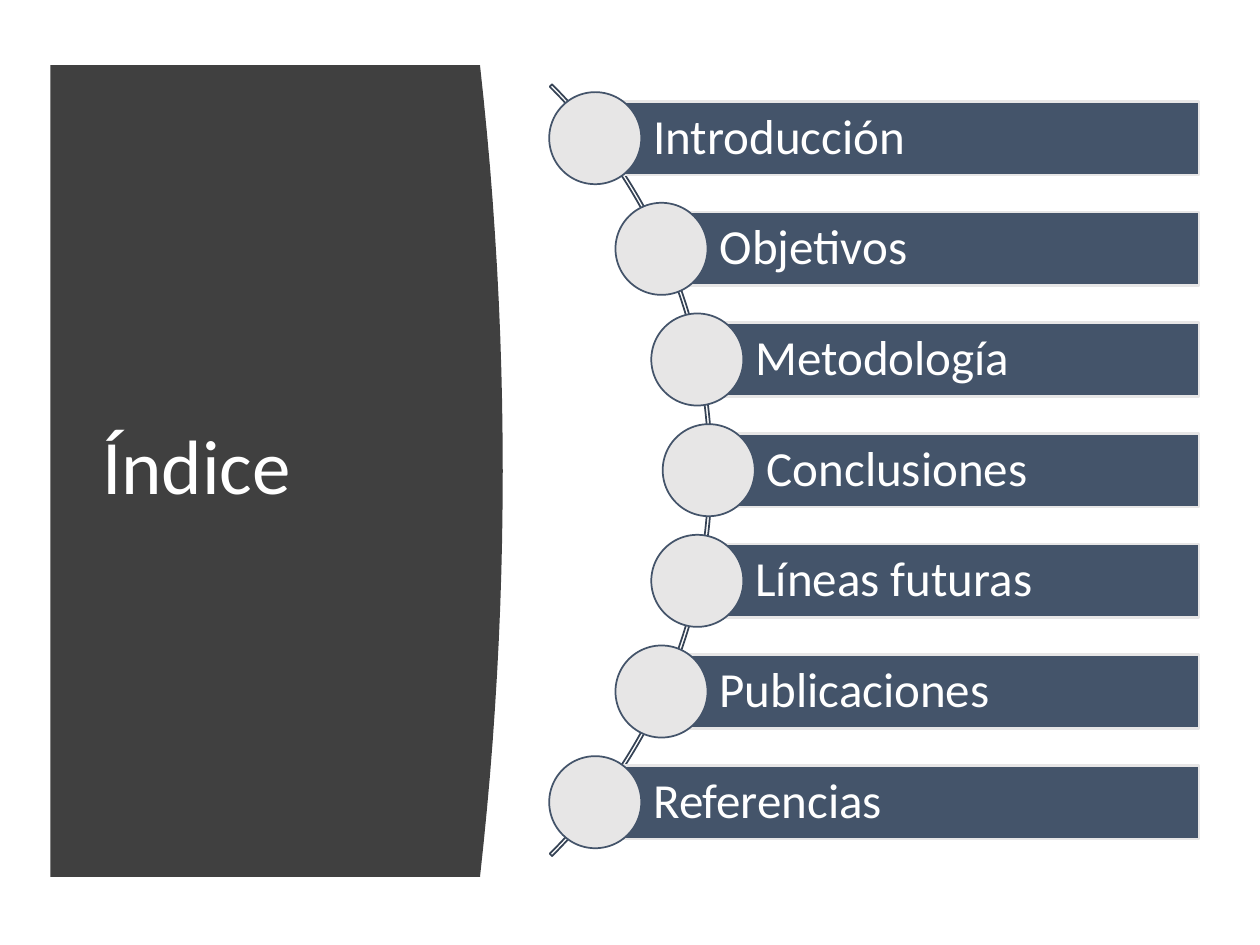
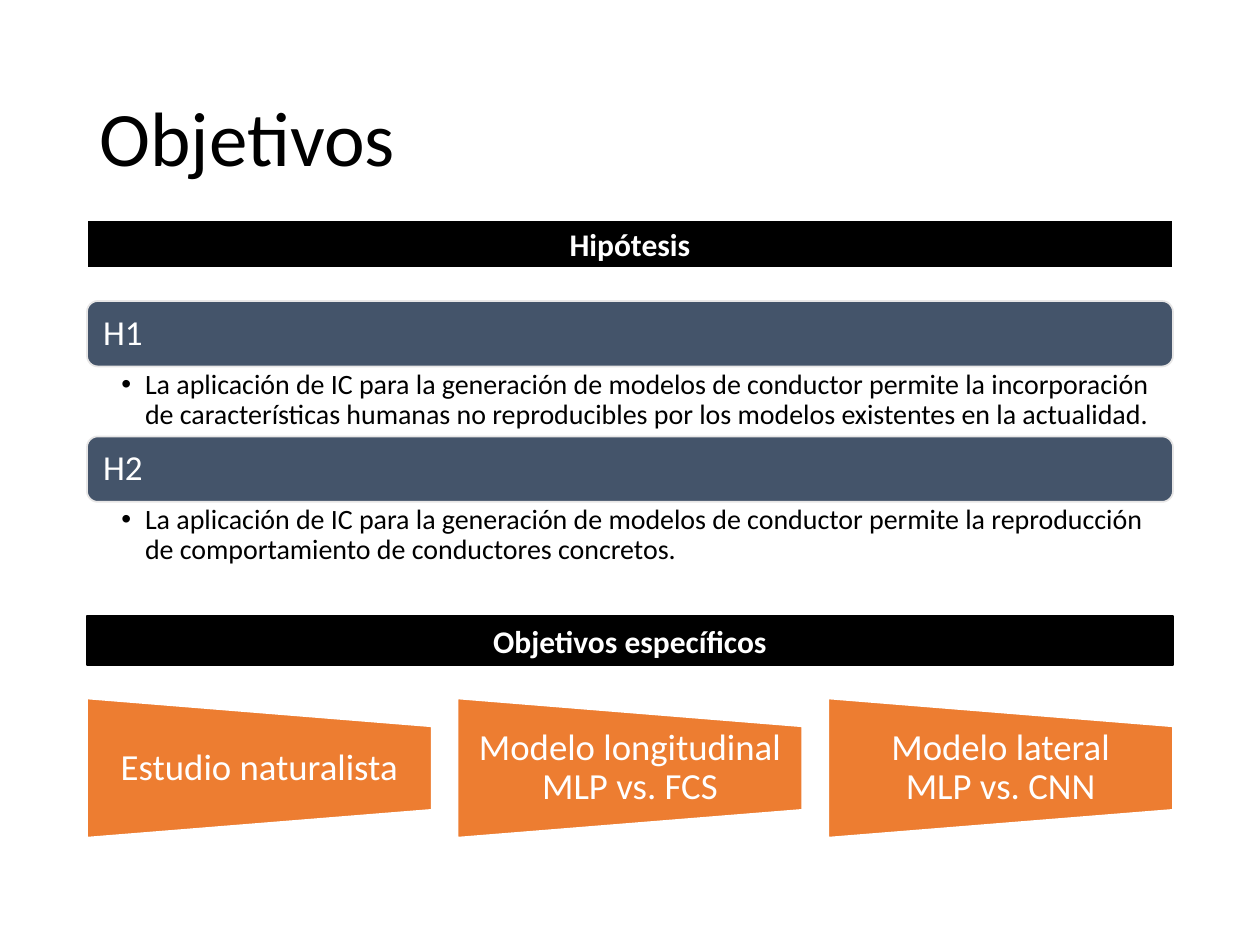
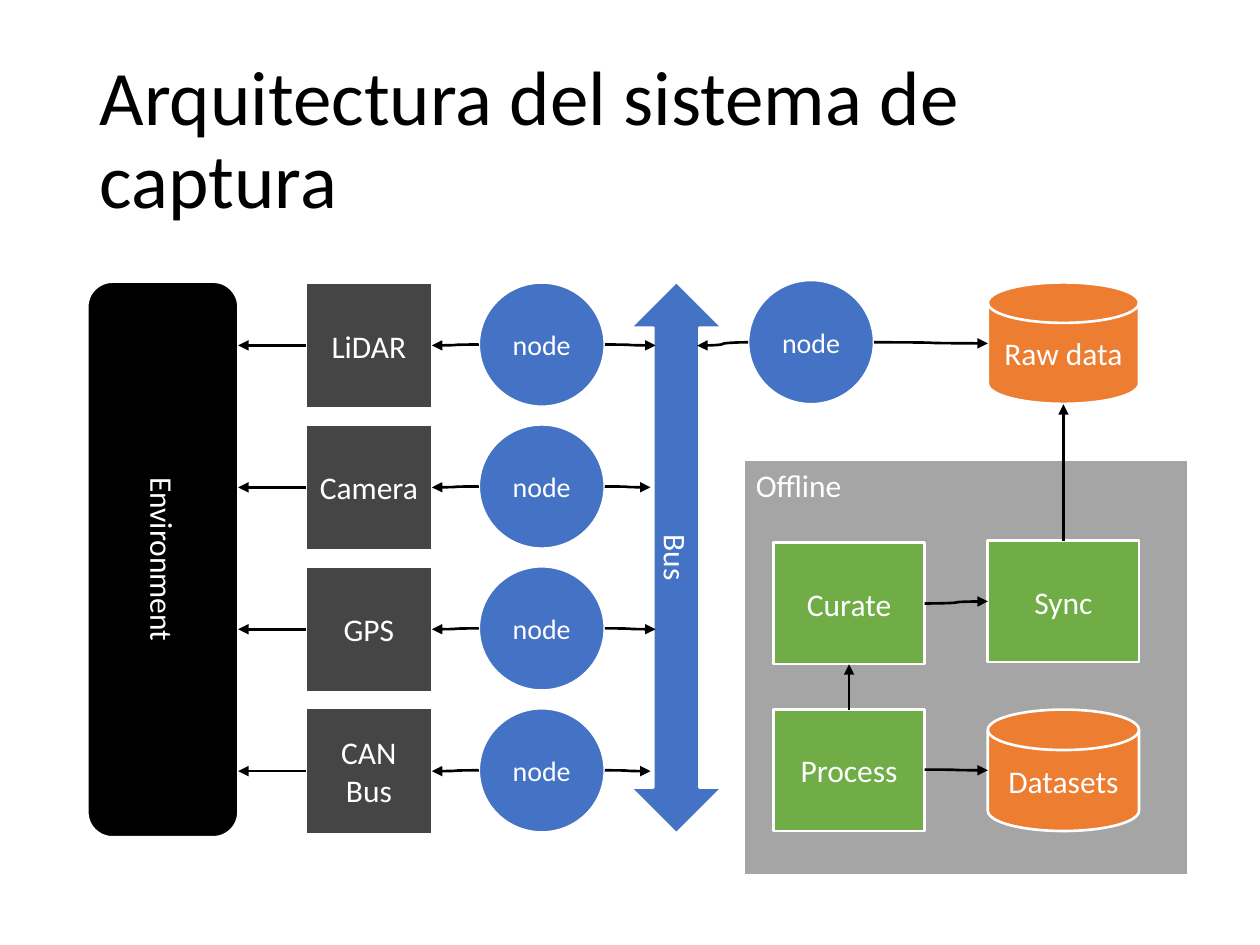
"""Build three thesis slides: index, objectives and capture architecture."""
from math import sqrt

from lxml.etree import SubElement
from pptx import Presentation
from pptx.dml.color import RGBColor
from pptx.enum.shapes import MSO_CONNECTOR, MSO_SHAPE
from pptx.enum.text import MSO_ANCHOR, MSO_AUTO_SIZE, PP_ALIGN
from pptx.oxml.ns import qn
from pptx.util import Pt

COLOURS = {
    "white": "FFFFFF", "black": "000000", "panel": "404040", "slate": "44546A",
    "pale": "E7E6E6", "arc": "364355", "sensor": "454545", "blue": "4472C4",
    "orange": "ED7D31", "green": "70AD47", "grey": "A5A5A5",
}
FONT = "Calibri"
TITLE_BOX = (49.7, 28.8, 620.6, 104.4)
LEFT, WIDTH = 49.7, 620.6
TITLE = {"size": 44, "colour": "black", "line_spacing": 0.9, "alignment": PP_ALIGN.LEFT}


def write_text(shape, text, size=18, colour="white", bold=False, insets=(7.2, 3.6, 7.2, 3.6),
               anchor=MSO_ANCHOR.MIDDLE, alignment=PP_ALIGN.CENTER, line_spacing=1.0):
    """Put one formatted paragraph in a shape and return the paragraph."""
    frame = shape.text_frame
    paragraph = frame.paragraphs[0]
    paragraph.text = text
    left, top, right, bottom = (Pt(inset) for inset in insets)
    frame_format = {"word_wrap": True, "auto_size": MSO_AUTO_SIZE.NONE, "vertical_anchor": anchor,
                    "margin_left": left, "margin_top": top,
                    "margin_right": right, "margin_bottom": bottom}
    paragraph_format = {"alignment": alignment, "line_spacing": line_spacing, "space_before": Pt(0)}
    font_format = {"name": FONT, "size": Pt(size), "bold": bold}
    for target, values in ((frame, frame_format), (paragraph, paragraph_format)):
        for name, value in values.items():
            setattr(target, name, value)
    for run in paragraph.runs:
        for name, value in font_format.items():
            setattr(run.font, name, value)
        run.font.color.rgb = RGBColor.from_string(COLOURS[colour])
    return paragraph


def add_box(slide, kind, box, fill, line="white", line_width=1.5, text="", rotation=0, **text_format):
    """Add a preset shape, with a box given in points, and return it."""
    shape = slide.shapes.add_shape(kind, *(Pt(length) for length in box))
    shape.shadow.inherit = False
    shape.rotation = rotation
    if fill:
        shape.fill.solid()
        shape.fill.fore_color.rgb = RGBColor.from_string(COLOURS[fill])
    else:
        shape.fill.background()
    shape.line.color.rgb = RGBColor.from_string(COLOURS[line])
    shape.line.width = Pt(line_width)
    if text:
        write_text(shape, text, **text_format)
    return shape


presentation = Presentation()
presentation.slide_width, presentation.slide_height = Pt(720), Pt(540)
title_only, two_content = presentation.slide_layouts[5], presentation.slide_layouts[3]
index_slide, goals_slide, system_slide = (
    presentation.slides.add_slide(layout) for layout in (title_only, two_content, title_only))

titles = [
    (index_slide, "Índice", (51.1, 79.9, 201.6, 377.3), "white"),
    (goals_slide, "Objetivos", TITLE_BOX, "black"),
    (system_slide, "Arquitectura del sistema de captura", TITLE_BOX, "black"),
]
for slide, text, box, colour in titles:
    title = slide.shapes.title
    title.left, title.top, title.width, title.height = (Pt(length) for length in box)
    write_text(title, text, **{**TITLE, "colour": colour})

PANEL_LEFT, PANEL_EDGE, PANEL_BULGE = 28.8, 287.3, 13
PANEL_MIDDLE, PANEL_HALF, PANEL_STEPS = 269.2, 231.9, 24
panel_outline = [(Pt(PANEL_LEFT), Pt(PANEL_MIDDLE - PANEL_HALF))]
for step in range(PANEL_STEPS + 1):
    offset = 2 * step / PANEL_STEPS - 1
    panel_outline.append((Pt(PANEL_EDGE - PANEL_BULGE * offset ** 2),
                          Pt(PANEL_MIDDLE + PANEL_HALF * offset)))
panel_outline.append((Pt(PANEL_LEFT), Pt(PANEL_MIDDLE + PANEL_HALF)))
builder = index_slide.shapes.build_freeform(*panel_outline[0])
builder.add_line_segments(panel_outline[1:], close=True)
panel = builder.convert_to_shape()
panel.shadow.inherit = False
panel.fill.solid()
panel.fill.fore_color.rgb = RGBColor.from_string(COLOURS["panel"])
panel.line.fill.background()
panel.element.getparent().insert(2, panel.element)

ARC_X, ARC_Y, ARC_RADIUS, DOT_ORBIT = 95, 268.7, 311.8, 310
BAR_RIGHT, BAR_HEIGHT, DOT_SIZE, BAR_PITCH = 685.1, 42, 52.6, 63.24
arc = add_box(index_slide, MSO_SHAPE.BLOCK_ARC,
              (ARC_X - ARC_RADIUS, ARC_Y - ARC_RADIUS, 2 * ARC_RADIUS, 2 * ARC_RADIUS),
              None, "arc", 1)
for number, value in enumerate((189, 27, 0.003)):
    arc.adjustments[number] = value
sections = ["Introducción", "Objetivos", "Metodología", "Conclusiones", "Líneas futuras",
            "Publicaciones", "Referencias"]
for number, section in enumerate(sections):
    rise = (number - len(sections) // 2) * BAR_PITCH
    centre_x, centre_y = ARC_X + sqrt(DOT_ORBIT ** 2 - rise ** 2), ARC_Y + rise
    add_box(index_slide, MSO_SHAPE.RECTANGLE,
            (centre_x, centre_y - BAR_HEIGHT / 2, BAR_RIGHT - centre_x, BAR_HEIGHT),
            "slate", "pale", text=section, size=28, insets=(33.2, 5.6, 5.6, 5.6),
            alignment=PP_ALIGN.LEFT, line_spacing=0.9)
    add_box(index_slide, MSO_SHAPE.OVAL,
            (centre_x - DOT_SIZE / 2, centre_y - DOT_SIZE / 2, DOT_SIZE, DOT_SIZE),
            "pale", "slate", 1)

hypotheses = [
    ("H1", "La aplicación de IC para la generación de modelos de conductor permite la incorporación "
           "de características humanas no reproducibles por los modelos existentes en la actualidad."),
    ("H2", "La aplicación de IC para la generación de modelos de conductor permite la reproducción "
           "de comportamiento de conductores concretos."),
]
for number, (label, statement) in enumerate(hypotheses):
    top = 172 + 77.4 * number
    add_box(goals_slide, MSO_SHAPE.ROUNDED_RECTANGLE, (LEFT, top, WIDTH, 37.4), "slate", "pale", 1,
            text=label, size=20, insets=(7.4, 5.6, 7.4, 5.6), alignment=PP_ALIGN.LEFT,
            line_spacing=0.9)
    body = goals_slide.placeholders[number + 1]
    body.left, body.top, body.width, body.height = Pt(LEFT), Pt(top + 37.5), Pt(WIDTH), Pt(39.6)
    paragraph = write_text(body, statement, 16, "black", insets=(19.7, 2, 11.4, 2),
                           anchor=MSO_ANCHOR.TOP, alignment=PP_ALIGN.LEFT, line_spacing=0.9)
    properties = paragraph._p.get_or_add_pPr()
    properties.set("marL", str(Pt(13.5)))
    properties.set("indent", str(Pt(-13.5)))
    SubElement(properties, qn("a:buChar")).set("char", "•")

for heading, top, line, line_width in (("Hipótesis", 125.3, "white", 1.5),
                                       ("Objetivos específicos", 352, "black", 1)):
    add_box(goals_slide, MSO_SHAPE.RECTANGLE, (LEFT, top, WIDTH, 28), "black", line, line_width,
            text=heading, bold=True)

GOAL_WIDTH, GOAL_HEIGHT, GOAL_PITCH, GOAL_MIDDLE = 197, 79.6, 211.8, 438.9
goals = ["Estudio naturalista", "Modelo longitudinal\nMLP vs. FCS", "Modelo lateral\nMLP vs. CNN"]
for number, goal in enumerate(goals):
    left = LEFT + number * GOAL_PITCH
    add_box(goals_slide, MSO_SHAPE.FLOWCHART_MANUAL_OPERATION,
            (left + (GOAL_WIDTH - GOAL_HEIGHT) / 2, GOAL_MIDDLE - GOAL_WIDTH / 2,
             GOAL_HEIGHT, GOAL_WIDTH), "orange", line_width=1, rotation=270)
    caption = goals_slide.shapes.add_textbox(Pt(left), Pt(GOAL_MIDDLE - 24), Pt(GOAL_WIDTH), Pt(48))
    write_text(caption, goal, 21, insets=(10.6, 0, 10.6, 0), line_spacing=0.9)

add_box(system_slide, MSO_SHAPE.FLOWCHART_PROCESS, (424.8, 262.8, 254.2, 237.6), "grey",
        text="Offline", anchor=MSO_ANCHOR.TOP, alignment=PP_ALIGN.LEFT)
add_box(system_slide, MSO_SHAPE.ROUNDED_RECTANGLE, (-65.7, 276.5, 317.5, 86.4), "black",
        text="Environment", rotation=90)
add_box(system_slide, MSO_SHAPE.LEFT_RIGHT_ARROW, (228.8, 292.3, 315.4, 52.6), "blue",
        text="Bus", rotation=90)

links = []
ROW_TOP, ROW_PITCH, SENSOR_LEFT, NODE_LEFT, SIDE, NODE_HEIGHT = 161.4, 81.1, 174.8, 273.6, 72, 71
sensors = [("LiDAR", 374.6), ("Camera", 371.8), ("GPS", 374.6), ("CAN Bus", 371.8)]
for row, (sensor, bus_x) in enumerate(sensors):
    top = ROW_TOP + row * ROW_PITCH
    sensor_y, node_y = top + SIDE / 2, top + NODE_HEIGHT / 2
    add_box(system_slide, MSO_SHAPE.RECTANGLE, (SENSOR_LEFT, top, SIDE, SIDE), "sensor", text=sensor)
    add_box(system_slide, MSO_SHAPE.OVAL, (NODE_LEFT, top, SIDE, NODE_HEIGHT), "blue",
            text="node", size=16)
    links += [
        (SENSOR_LEFT, sensor_y, 136.1, sensor_y),
        (NODE_LEFT, node_y, SENSOR_LEFT + SIDE, sensor_y),
        (NODE_LEFT + SIDE, node_y, bus_x, sensor_y),
    ]

add_box(system_slide, MSO_SHAPE.OVAL, (427.5, 160, SIDE, NODE_HEIGHT), "blue", text="node", size=16)
stages = [
    ("Raw data", MSO_SHAPE.FLOWCHART_MAGNETIC_DISK, 564.5, 161.4, "orange"),
    ("Sync", MSO_SHAPE.RECTANGLE, 564.5, 309, "green"),
    ("Curate", MSO_SHAPE.RECTANGLE, 442, 310.2, "green"),
    ("Process", MSO_SHAPE.RECTANGLE, 442, 405.5, "green"),
    ("Datasets", MSO_SHAPE.FLOWCHART_MAGNETIC_DISK, 564.5, 405.5, "orange"),
]
for label, kind, left, top, fill in stages:
    add_box(system_slide, kind, (left, top, 86.4, 69.4), fill, text=label)

links += [
    (427.5, 195.6, 398.4, 197.5),
    (499.5, 195.6, 564.5, 196.2),
    (607.7, 309, 607.7, 231),
    (528.4, 344.9, 564.5, 343.7),
    (485.2, 405.5, 485.2, 379.6),
    (528.4, 439.8, 564.5, 440.2),
]
for link in links:
    kind = MSO_CONNECTOR.STRAIGHT if link[0] == link[2] else MSO_CONNECTOR.CURVE
    connector = system_slide.shapes.add_connector(kind, *(Pt(length) for length in link))
    connector.line.color.rgb = RGBColor.from_string(COLOURS["black"])
    connector.line.width = Pt(1.5)
    properties = connector.element.spPr
    SubElement(properties.find(qn("a:ln")), qn("a:tailEnd")).set("type", "triangle")
    SubElement(properties, qn("a:effectLst"))

presentation.save("out.pptx")
